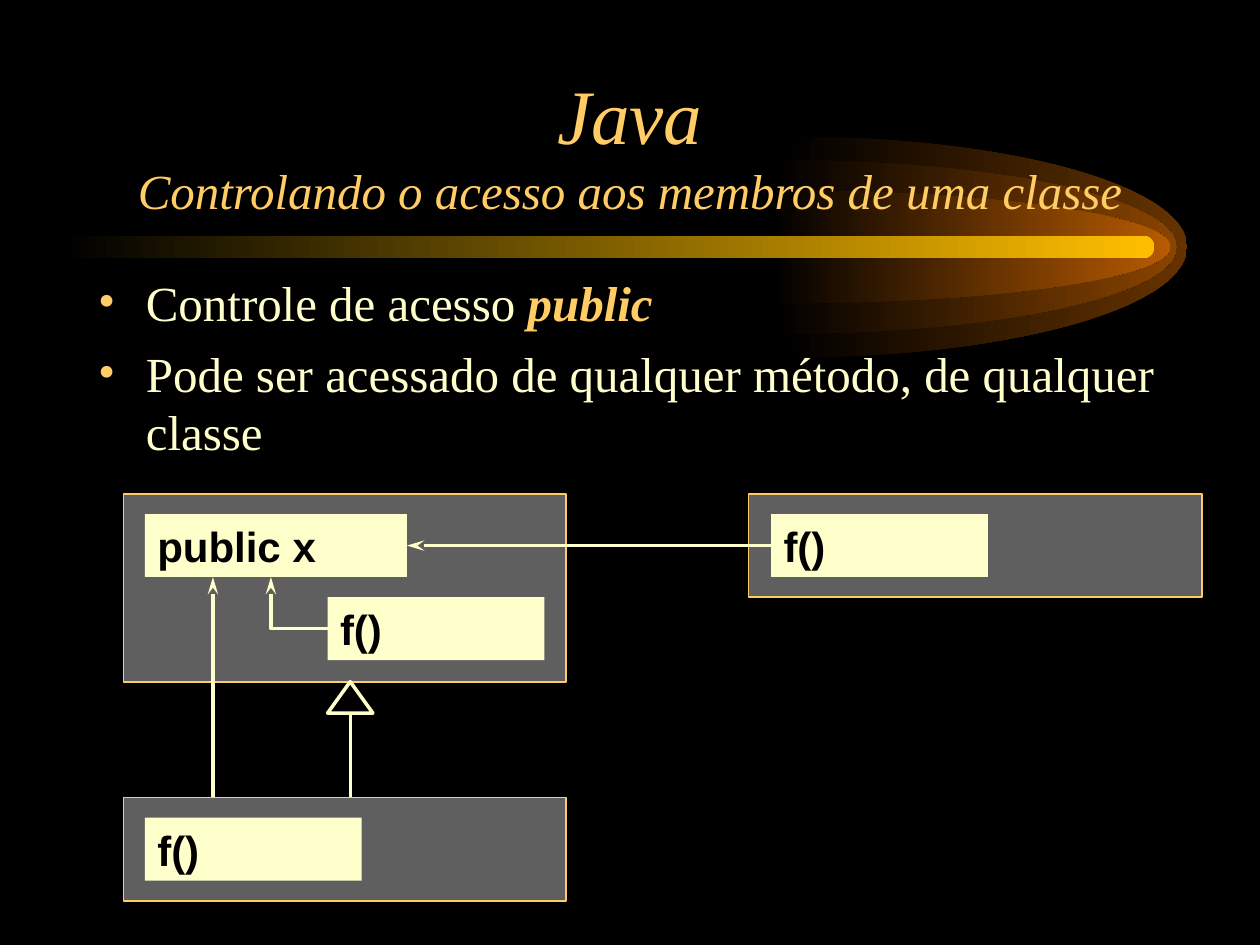
from lxml.etree import SubElement
from pptx import Presentation
from pptx.dml.color import RGBColor
from pptx.enum.shapes import MSO_CONNECTOR as CONNECTOR, MSO_SHAPE as SHAPE
from pptx.enum.text import MSO_ANCHOR as ANCHOR, PP_ALIGN as ALIGN
from pptx.oxml.ns import qn
from pptx.util import Inches, Pt

BLACK = RGBColor(0x00, 0x00, 0x00)
GOLD = RGBColor(0xFF, 0xCC, 0x66)
CREAM = RGBColor(0xFF, 0xFF, 0xCC)
GRAY = RGBColor(0x5F, 0x5F, 0x5F)
AMBER = RGBColor(0xFF, 0xBF, 0x00)
SERIF, SANS = "Times New Roman", "Arial"

# Content
TITLE = [("Java", 44), ("Controlando o acesso aos membros de uma classe", 28)]
BULLETS = [
    [("Controle de acesso ", False), ("public", True)],
    [("Pode ser acessado de qualquer método, de qualquer classe", False)],
]
# Comet glow: left, half height, colour
COMET_Y = 1.96
GLOW_WIDTH = 3.13
GLOWS = [
    (6.29, 0.875, RGBColor(0x66, 0x33, 0x00)),
    (6.21, 0.69, RGBColor(0x89, 0x44, 0x00)),
    (6.16, 0.45, RGBColor(0xB7, 0x5B, 0x00)),
]
# Classes: left, top, width, height
PARENT_CLASS = (0.98, 3.92, 3.51, 1.49)
OTHER_CLASS = (5.94, 3.92, 3.6, 0.82)
SUBCLASS = (0.98, 6.33, 3.51, 0.82)
# Members: text, left, top, width
FIELD = ("public x", 1.15, 4.08, 2.08)
OWN_METHOD = ("f()", 2.6, 4.74, 1.72)
OTHER_METHOD = ("f()", 6.12, 4.08, 1.72)
SUBCLASS_METHOD = ("f()", 1.15, 6.49, 1.72)
MEMBER_HEIGHT = 0.5
FIELD_BOTTOM = 4.58
SUBCLASS_TOP = 6.33
TRIANGLE = [(2.6, 5.66), (2.78, 5.41), (2.96, 5.66)]
ELBOW = [(2.6, 4.99), (2.15, 4.99), (2.15, FIELD_BOTTOM)]


def add_text(paragraph, text, size=28, font=SERIF, color=CREAM, bold=False, italic=False):
    run = paragraph.add_run()
    run.text = text
    run.font.size, run.font.name = Pt(size), font
    run.font.bold, run.font.italic = bold, italic
    run.font.color.rgb = color


def set_box(shape, left, top, width, height):
    shape.left, shape.top = Inches(left), Inches(top)
    shape.width, shape.height = Inches(width), Inches(height)


def fill_gradient(shape, color):
    shape.shadow.inherit = False
    shape.fill.gradient()
    shape.fill.gradient_angle = 0
    for stop, stop_color in zip(shape.fill.gradient_stops, (BLACK, color)):
        stop.color.rgb = stop_color
    shape.line.fill.background()


def add_outline(shapes, points, close):
    points = [(Inches(x), Inches(y)) for x, y in points]
    builder = shapes.build_freeform(*points[0])
    builder.add_line_segments(points[1:], close=close)
    shape = builder.convert_to_shape()
    shape.shadow.inherit = False
    return shape


def add_glow(shapes, left, half_height, color):
    bend = 0.55  # control distance of a quarter ellipse
    right = left + GLOW_WIDTH
    control_x = left + bend * GLOW_WIDTH
    top, bottom = COMET_Y - half_height, COMET_Y + half_height
    rise = bend * half_height
    points = [
        (left, top),
        (control_x, top), (right, COMET_Y - rise), (right, COMET_Y),
        (right, COMET_Y + rise), (control_x, bottom), (left, bottom),
        (left - 0.05, bottom), (left, COMET_Y),
    ]
    glow = add_outline(shapes, points, close=True)
    # Turn the first six segments into two curves
    segments = list(glow._element.iter(qn("a:lnTo")))
    for first in (0, 3):
        curve = segments[first]
        outline = curve.getparent()
        bezier = SubElement(outline, qn("a:cubicBezTo"))
        outline.replace(curve, bezier)
        for segment in segments[first:first + 3]:
            bezier.append(segment[0])
        for segment in segments[first + 1:first + 3]:
            outline.remove(segment)
    fill_gradient(glow, color)


def add_rectangle(shapes, left, top, width, height, color):
    shape = shapes.add_shape(SHAPE.RECTANGLE, 0, 0, 0, 0)
    set_box(shape, left, top, width, height)
    shape.shadow.inherit = False
    shape.fill.solid()
    shape.fill.fore_color.rgb = color
    shape.line.fill.background()
    return shape


def add_class(shapes, box):
    shape = add_rectangle(shapes, *box, GRAY)
    shape.line.color.rgb = GOLD
    shape.line.width = Pt(1)


def add_member(shapes, text, left, top, width):
    member = add_rectangle(shapes, left, top, width, MEMBER_HEIGHT, CREAM)
    member.text_frame.vertical_anchor = ANCHOR.MIDDLE
    member.text_frame.word_wrap = False
    paragraph = member.text_frame.paragraphs[0]
    paragraph.alignment = ALIGN.LEFT
    add_text(paragraph, text, size=24, font=SANS, color=BLACK, bold=True)
    return member


def style_line(shape, arrow=False):
    shape.line.color.rgb = CREAM
    shape.line.width = Pt(2)
    if arrow:
        SubElement(shape.line._get_or_add_ln(), qn("a:tailEnd"),
                   type="stealth", w="med", len="lg")


def add_line(shapes, start, end, arrow=False):
    line = shapes.add_connector(CONNECTOR.STRAIGHT, *map(Inches, start + end))
    style_line(line, arrow)
    SubElement(line._element.spPr, qn("a:effectLst"))
    return line


def add_bullet(paragraph):
    properties = paragraph._p.get_or_add_pPr()
    properties.set("marL", str(Inches(0.38)))
    properties.set("indent", str(-Inches(0.38)))
    color = SubElement(properties, qn("a:buClr"))
    SubElement(color, qn("a:srgbClr"), val=str(GOLD))
    SubElement(properties, qn("a:buFont"), typeface=SERIF)
    SubElement(properties, qn("a:buChar"), char="•")


def main():
    presentation = Presentation()
    presentation.slide_width, presentation.slide_height = Inches(10), Inches(7.5)
    slide = presentation.slides.add_slide(presentation.slide_layouts[5])
    slide.background.fill.solid()
    slide.background.fill.fore_color.rgb = BLACK
    shapes = slide.shapes
    title = shapes.title

    # Comet behind the title
    for glow in GLOWS:
        add_glow(shapes, *glow)
    bar = shapes.add_shape(SHAPE.ROUNDED_RECTANGLE, 0, 0, 0, 0)
    set_box(bar, 0.5, 1.87, 8.66, 0.18)
    bar.adjustments[0] = 0.5
    fill_gradient(bar, AMBER)

    # Title, moved in front of the comet
    shapes._spTree.append(title._element)
    set_box(title, 0.75, 0.35, 8.5, 1.44)
    title.text_frame.vertical_anchor = ANCHOR.BOTTOM
    title.text_frame.word_wrap = True
    heading = title.text_frame.paragraphs[0]
    heading.alignment = ALIGN.CENTER
    for index, (text, size) in enumerate(TITLE):
        if index:
            heading.add_line_break()
        add_text(heading, text, size=size, color=GOLD, italic=True)

    # Bullets
    body = shapes.add_textbox(0, 0, 0, 0)
    set_box(body, 0.68, 2.11, 8.67, 4.65)
    frame = body.text_frame
    frame.word_wrap = True
    for index, parts in enumerate(BULLETS):
        paragraph = frame.add_paragraph() if index else frame.paragraphs[0]
        add_bullet(paragraph)
        if index:
            paragraph.space_before = Pt(7)
        for text, keyword in parts:
            add_text(paragraph, text, color=GOLD if keyword else CREAM,
                     bold=keyword, italic=keyword)

    # Class with the field, and the other class that reads it
    add_class(shapes, PARENT_CLASS)
    field = add_member(shapes, *FIELD)
    add_class(shapes, OTHER_CLASS)
    other_method = add_member(shapes, *OTHER_METHOD)
    access = add_line(shapes, (6.12, 4.33), (3.23, 4.33), arrow=True)
    access.begin_connect(other_method, 1)
    access.end_connect(field, 3)
    add_member(shapes, *OWN_METHOD)
    elbow = add_outline(shapes, ELBOW, close=False)
    elbow.fill.background()
    style_line(elbow, arrow=True)

    # Subclass and inheritance
    add_line(shapes, (1.69, SUBCLASS_TOP), (1.69, FIELD_BOTTOM), arrow=True)
    add_line(shapes, (2.78, SUBCLASS_TOP), (2.78, 5.66))
    triangle = add_outline(shapes, TRIANGLE, close=True)
    triangle.fill.background()
    style_line(triangle)
    add_class(shapes, SUBCLASS)
    add_member(shapes, *SUBCLASS_METHOD)

    presentation.save("out.pptx")


if __name__ == "__main__":
    main()
